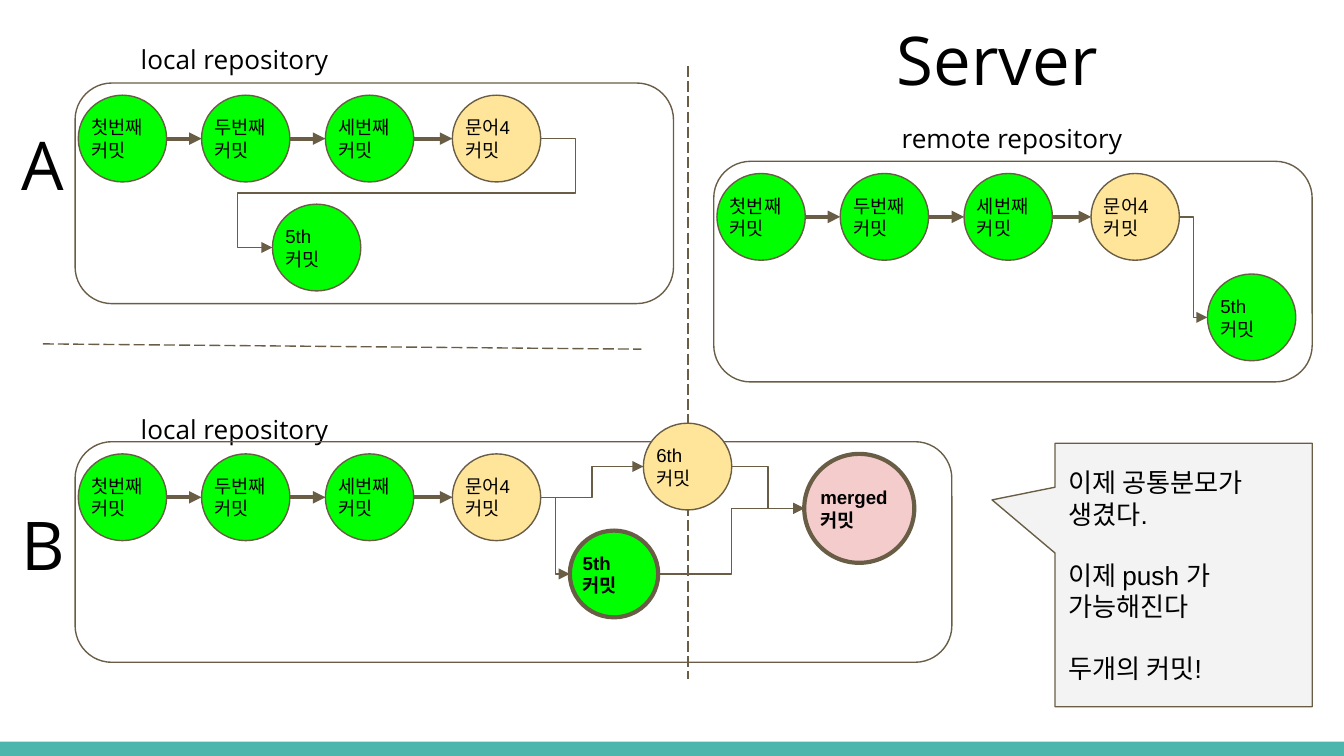
from collections import namedtuple
from itertools import pairwise

from lxml.etree import SubElement
from pptx import Presentation
from pptx.dml.color import RGBColor
from pptx.enum.dml import MSO_LINE
from pptx.enum.shapes import MSO_CONNECTOR, MSO_SHAPE
from pptx.enum.text import MSO_ANCHOR, PP_ALIGN
from pptx.oxml.ns import qn
from pptx.util import Cm, Pt

COLORS = {
    "text": "000000",
    "outline": "695D46",
    "shared": "00FF00",
    "changed": "FFE599",
    "merged": "F4CCCC",
    "note": "F3F3F3",
    "footer": "4DB6AC",
}
Box = namedtuple("Box", "left top width height")
THIN, THICK = 0.75, 2.25
COMMIT_WIDTH, COMMIT_HEIGHT = 1.67, 1.64
HISTORY = [
    ("첫번째", 0.06, "shared"),
    ("두번째", 2.39, "shared"),
    ("세번째", 4.73, "shared"),
    ("문어4", 7.13, "changed"),
]


def color(name):
    return RGBColor.from_string(COLORS[name])


def write_text(shape, lines, size=14, font="Open Sans", bold=False,
               anchor=MSO_ANCHOR.TOP, inset=0.25, gap=0):
    frame = shape.text_frame
    frame.word_wrap = True
    frame.vertical_anchor = anchor
    frame.margin_left = frame.margin_right = Cm(inset)
    frame.margin_top = frame.margin_bottom = Cm(inset)
    for index, line in enumerate(lines):
        para = frame.add_paragraph() if index else frame.paragraphs[0]
        para.alignment = PP_ALIGN.LEFT
        if index and gap:
            para.space_before = Pt(gap)
        span = para.add_run()
        span.text = line
        span.font.name = font
        span.font.size = Pt(size)
        span.font.bold = bold
        span.font.color.rgb = color("text")


def add_label(page, box, text, **text_format):
    label = page.shapes.add_textbox(*map(Cm, box))
    write_text(label, [text], **text_format)


def add_outlined(page, kind, box, fill=None, weight=THIN):
    shape = page.shapes.add_shape(kind, *map(Cm, box))
    shape.shadow.inherit = False
    if fill:
        shape.fill.solid()
        shape.fill.fore_color.rgb = color(fill)
    else:
        shape.fill.background()
    shape.line.color.rgb = color("outline")
    shape.line.width = Pt(weight)
    return shape


def add_line(page, start, end, kind=MSO_CONNECTOR.STRAIGHT, weight=THIN):
    line = page.shapes.add_connector(kind, *map(Cm, (*start, *end)))
    line.line.color.rgb = color("outline")
    line.line.width = Pt(weight)
    SubElement(line._element.spPr, qn("a:effectLst"))
    return line


def add_divider(page, start, end):
    add_line(page, start, end).line.dash_style = MSO_LINE.LONG_DASH


def add_arrow(page, source, target, kind=MSO_CONNECTOR.ELBOW, weight=THIN):
    start = (source.left + source.width, source.top + source.height / 2)
    end = (target.left, target.top + target.height / 2)
    arrow = add_line(page, start, end, kind, weight)
    SubElement(arrow.line._get_or_add_ln(), qn("a:tailEnd"), type="triangle")
    return arrow


def wrap_around(arrow, bends):
    geometry = arrow._element.spPr.find(qn("a:prstGeom"))
    geometry.set("prst", "bentConnector5")
    guides = geometry.find(qn("a:avLst"))
    for number, bend in enumerate(bends, 1):
        SubElement(guides, qn("a:gd"), name=f"adj{number}", fmla=f"val {bend}")


def add_commit(page, area, left, top, name, fill, weight=THIN,
               width=COMMIT_WIDTH, height=COMMIT_HEIGHT):
    box = Box(area.left + left, area.top + top, width, height)
    circle = add_outlined(page, MSO_SHAPE.OVAL, box, fill, weight)
    write_text(circle, [name, "커밋"], size=10, font="Arial",
               bold=weight == THICK, anchor=MSO_ANCHOR.MIDDLE, inset=0)
    return box


def add_repository(page, area, caption, caption_left, caption_rise):
    add_label(page, Box(area.left + caption_left, area.top - caption_rise, 7, 0.79), caption)
    add_outlined(page, MSO_SHAPE.ROUNDED_RECTANGLE, area)
    commits = [add_commit(page, area, left, 0.23, name, fill) for name, left, fill in HISTORY]
    for source, target in pairwise(commits):
        add_arrow(page, source, target, MSO_CONNECTOR.STRAIGHT, THICK)
    return commits[-1]


def add_owner(page, area, name, drop):
    add_label(page, Box(area.left - 1.27, area.top + drop, 1.3, 1.88), name, size=36)


def add_local_a(page, area):
    add_owner(page, area, "A", 0.51)
    last = add_repository(page, area, "local repository", 0.99, 0.99)
    fifth = add_commit(page, area, 3.73, 2.29, "5th", "shared")
    wrap_around(add_arrow(page, last, fifth), (-13100, 50000, 113100))


def add_remote(page, area):
    add_label(page, Box(area.left + 3.21, area.top - 2.95, 5.36, 1.88), "Server", size=36)
    last = add_repository(page, area, "remote repository", 3.3, 0.99)
    fifth = add_commit(page, area, 9.33, 2.13, "5th", "shared")
    add_arrow(page, last, fifth)


def add_local_b(page, area):
    add_owner(page, area, "B", 0.92)
    last = add_repository(page, area, "local repository", 0.99, 0.79)
    sixth = add_commit(page, area, 10.74, -0.35, "6th", "changed")
    fifth = add_commit(page, area, 9.35, 1.68, "5th", "shared", THICK)
    merged = add_commit(page, area, 13.78, 0.23, "merged", "merged", THICK, 2.08, 2.06)
    for source, target in ((last, sixth), (last, fifth), (sixth, merged), (fifth, merged)):
        add_arrow(page, source, target)


def add_note(page, area):
    note = add_outlined(page, MSO_SHAPE.ROUNDED_RECTANGULAR_CALLOUT, area, "note")
    for index, value in enumerate((-0.745, -0.285, 0)):
        note.adjustments[index] = value
    lines = ["이제 공통분모가 생겼다.", "이제 push 가 가능해진다", "두개의 커밋!"]
    write_text(note, lines, font="Arial", anchor=MSO_ANCHOR.MIDDLE, gap=16)


def add_footer(page, area):
    bar = add_outlined(page, MSO_SHAPE.RECTANGLE, area, "footer")
    bar.line.fill.background()


def main():
    deck = Presentation()
    deck.slide_width, deck.slide_height = Cm(25.4), Cm(14.29)
    page = deck.slides.add_slide(deck.slide_layouts[6])
    add_footer(page, Box(0, 14.02, 25.4, 0.27))
    add_divider(page, (13, 1.25), (13, 12.83))
    add_divider(page, (0.81, 6.5), (12.12, 6.6))
    add_local_a(page, Box(1.42, 1.57, 11.31, 4.17))
    add_remote(page, Box(13.49, 3.05, 11.31, 4.17))
    add_local_b(page, Box(1.42, 8.35, 16.57, 4.17))
    add_note(page, Box(19.94, 8.38, 4.86, 4.98))
    deck.save("out.pptx")


if __name__ == "__main__":
    main()
